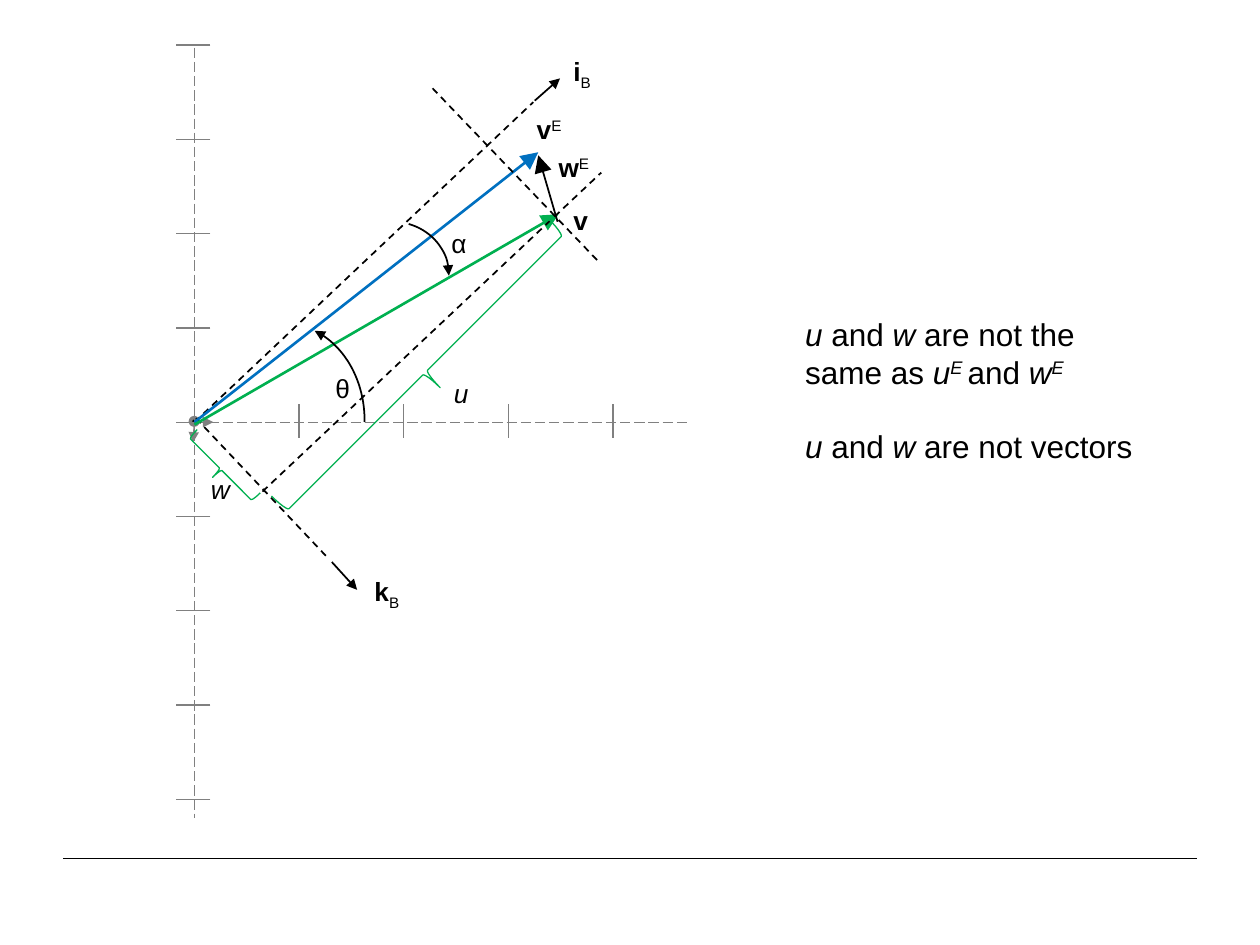
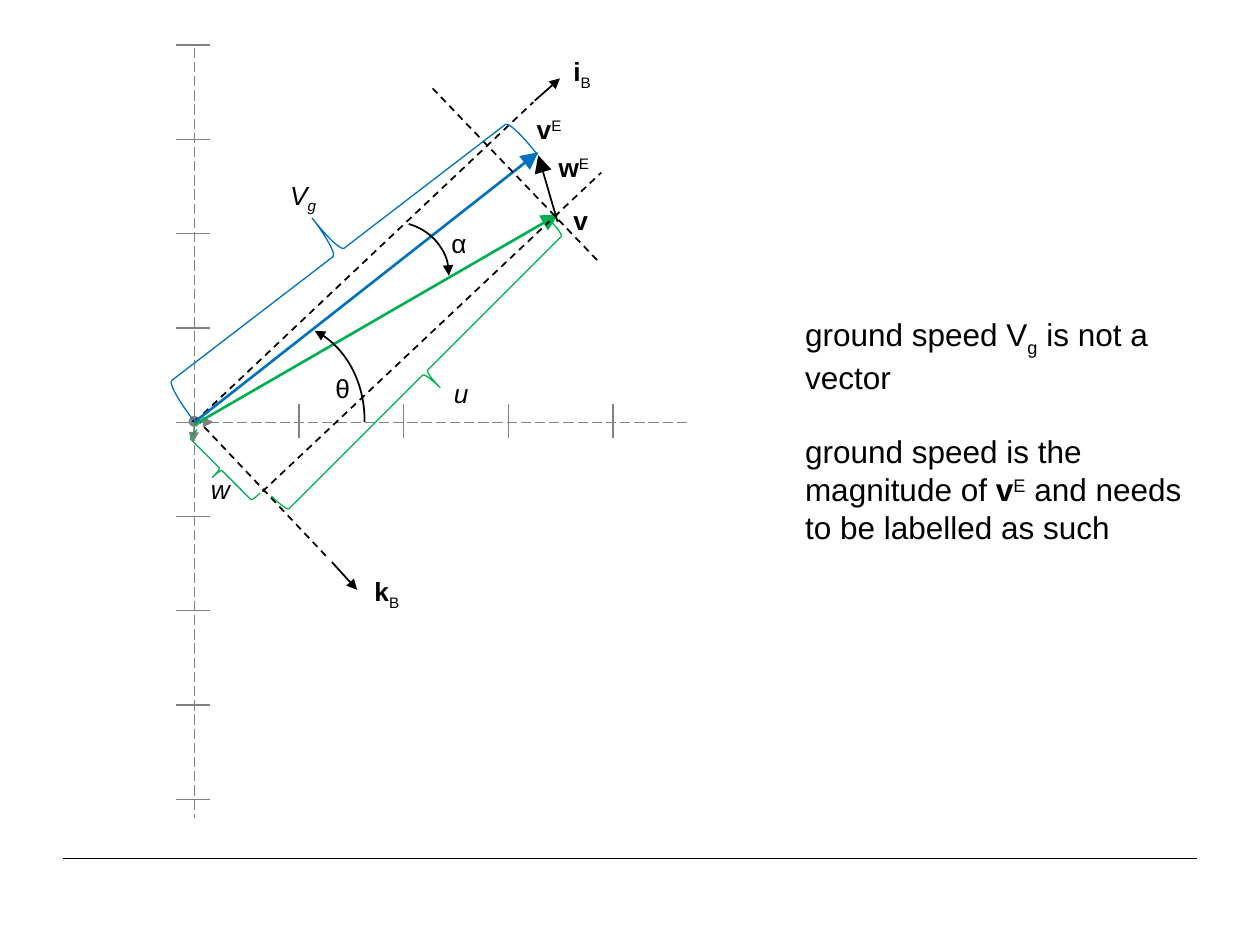
from lxml import etree
from pptx import Presentation
from pptx import util as u
from pptx.dml.color import RGBColor
from pptx.enum import dml, shapes, text
from pptx.oxml.ns import qn

COLORS = {"ink": "000000", "axis": "808080", "ground": "0070C0", "air": "00B050"}
FONT = "Arial"
BASELINES = {"^": "30000", "_": "-25000"}
DASH = dml.MSO_LINE.DASH
LONG_DASH = dml.MSO_LINE.LONG_DASH
ARC = shapes.MSO_SHAPE.ARC
BRACE = shapes.MSO_SHAPE.LEFT_BRACE

DIAGRAM_BOX = (3.54, 0.91, 10.34, 15.58)
STEP_X, STEP_Y = 2.11, 1.9
LABEL_SIZE = (1.3, 0.97)

VECTORS = [
    ((0, 0), (6.83, -6.45), {"dash": DASH}),
    ((0.03, -0.08), (2.72, 2.77), {"dash": DASH}),
    ((0, 0), (6.93, -5.44), {"color": "ground", "width": 1.5, "tail": "lg"}),
    ((0, 0.05), (7.34, -4.19), {"color": "air", "width": 1.5, "tail": "lg"}),
    ((7.32, -4.04), (6.93, -5.38), {"tail": "lg"}),
    ((6.86, -6.48), (7.37, -6.93), {"tail": "med"}),
    ((2.77, 2.82), (3.28, 3.38), {"tail": "med"}),
    ((1.37, 1.4), (8.2, -5.03), {"dash": DASH}),
    ((4.8, -6.73), (8.18, -3.2), {"dash": DASH}),
]
ANGLES = [
    ((0.23, -1.98, 3.2, 3.89), {"head": "med"}),
    ((2.84, -4.04, 2.29, 2.13), {"tail": "med"}),
]
BRACES = [
    ((4.22, -4.95, 0.86, 7.9), 225, "air"),
    ((0.3, 0.05, 0.46, 1.8), 315.1, "air"),
]
LABELS = [
    ((6.65, -6.35), [("v", "b"), ("E", "^")]),
    ((7.39, -4.52), [("v", "b")]),
    ((3.38, 2.97), [("k", "b"), ("B", "_")]),
    ((7.39, -7.52), [("i", "b"), ("B", "_")]),
    ((2.59, -1.12), [("θ", "")]),
    ((4.93, -4.06), [("α", "")]),
    ((7.09, -5.59), [("w", "b"), ("E", "^")]),
    ((4.98, -1.02), [("u", "i")]),
    ((0.08, 0.91), [("w", "i")]),
]
GROUND_SPEED_BRACE = ((2.03, -7.8, 1.75, 8.76), 52.5, "ground")
GROUND_SPEED_LABEL = ((1.68, -5.03), [("V", "i"), ("g", "i_")])

COMPONENTS_NOTE = [
    [("u", "i"), (" and ", ""), ("w", "i"), (" are not the same as ", ""),
     ("u", "i"), ("E ", "i^"), ("and", ""), (" w", "i"), ("E", "i^")],
    [("u", "i"), (" and ", ""), ("w", "i"), (" are not vectors", "")],
]
GROUND_SPEED_NOTE = [
    [("ground speed V", ""), ("g", "_"), (" is not a vector", "")],
    [("ground speed is the magnitude of ", ""), ("v", "b"), ("E", "^"),
     (" and needs to be labelled as such", "")],
]


def cm(*lengths):
    return [u.Cm(v) for v in lengths]


def style_line(sp, color="ink", width=1, dash=None, head=None, tail=None):
    sp.line.color.rgb = RGBColor.from_string(COLORS[color])
    sp.line.width = u.Pt(width)
    if dash:
        sp.line.dash_style = dash
    ln = sp._element.spPr.find(qn("a:ln"))
    for tag, size in (("a:headEnd", head), ("a:tailEnd", tail)):
        if size:
            etree.SubElement(ln, qn(tag), type="triangle", w=size, len=size)


def add_line(s, start, end, origin=(0, 0), **fmt):
    ox, oy = origin
    c = s.shapes.add_connector(
        shapes.MSO_CONNECTOR.STRAIGHT,
        *cm(ox + start[0], oy + start[1], ox + end[0], oy + end[1]))
    style_line(c, **fmt)
    etree.SubElement(c._element.spPr, qn("a:effectLst"))


def add_outline(s, kind, box, origin, adjust, rotation=0, **fmt):
    x, y, w, h = box
    sp = s.shapes.add_shape(kind, *cm(origin[0] + x, origin[1] + y, w, h))
    for i, value in enumerate(adjust):
        sp.adjustments[i] = value
    sp.rotation = rotation
    sp.fill.background()
    style_line(sp, **fmt)
    sp.shadow.inherit = False


def add_text(s, paragraphs, box, origin=(0, 0), size=15, wrap=False, gap=0):
    x, y, w, h = box
    tb = s.shapes.add_textbox(*cm(origin[0] + x, origin[1] + y, w, h))
    tf = tb.text_frame
    tf.word_wrap = wrap
    tf.auto_size = text.MSO_AUTO_SIZE.NONE
    for i, runs in enumerate(paragraphs):
        p = tf.add_paragraph() if i else tf.paragraphs[0]
        p.alignment = text.PP_ALIGN.LEFT
        if i:
            p.space_before = u.Pt(gap)
        for words, marks in runs:
            r = p.add_run()
            r.text = words
            r.font.name = FONT
            r.font.size = u.Pt(size)
            r.font.color.rgb = RGBColor.from_string(COLORS["ink"])
            r.font.bold = "b" in marks
            r.font.italic = "i" in marks
            for mark in BASELINES.keys() & set(marks):
                r._r.get_or_add_rPr().set("baseline", BASELINES[mark])


def add_axes(s, origin, width, height):
    axis = {"origin": origin, "color": "axis", "width": 0.75}
    top = -4 * STEP_Y
    add_line(s, (0, 0), (0.38, 0), tail="med", **axis)
    add_line(s, (0, 0), (-0.03, 0.41), tail="med", **axis)
    dot = s.shapes.add_shape(shapes.MSO_SHAPE.OVAL,
                             *cm(origin[0] - 0.08, origin[1] - 0.09, 0.15, 0.15))
    dot.fill.solid()
    dot.fill.fore_color.rgb = RGBColor.from_string(COLORS["ink"])
    style_line(dot, color="axis", width=2)
    dot.shadow.inherit = False
    add_line(s, (0, 0), (width - 0.38, 0), dash=LONG_DASH, **axis)
    add_line(s, (0, top + 0.05), (0, top + height), dash=LONG_DASH, **axis)
    for i in range(5):
        add_line(s, (i * STEP_X, -0.36), (i * STEP_X, 0.32), **axis)
    for i in range(-4, 5):
        add_line(s, (0.32, i * STEP_Y), (-0.37, i * STEP_Y), **axis)


def add_diagram(s, box, braces, labels):
    x, y, w, h = box
    origin = (x + 0.38, y + 4 * STEP_Y)
    add_axes(s, origin, w, h)
    for start, end, fmt in VECTORS:
        add_line(s, start, end, origin, **fmt)
    for arc_box, fmt in ANGLES:
        add_outline(s, ARC, arc_box, origin, (172.93, 0.71), **fmt)
    for brace_box, rotation, color in braces:
        add_outline(s, BRACE, brace_box, origin, (0.08, 0.5), rotation,
                    color=color, width=0.75)
    for corner, runs in labels:
        add_text(s, [runs], corner + LABEL_SIZE, origin)


def add_vector_slide(prs, note, note_box, braces=BRACES, labels=LABELS):
    s = prs.slides.add_slide(prs.slide_layouts[6])
    add_line(s, (1.27, 17.3), (24.13, 17.3), width=0.5)
    add_diagram(s, DIAGRAM_BOX, braces, labels)
    add_text(s, note, note_box, size=18, wrap=True, gap=21)


def main():
    prs = Presentation()
    prs.slide_width, prs.slide_height = cm(25.4, 19.05)
    add_vector_slide(prs, COMPONENTS_NOTE, (15.98, 6.22, 7.54, 3.3))
    add_vector_slide(prs, GROUND_SPEED_NOTE, (15.98, 6.22, 8.26, 4.93),
                     BRACES + [GROUND_SPEED_BRACE],
                     LABELS + [GROUND_SPEED_LABEL])
    prs.save("out.pptx")


if __name__ == "__main__":
    main()
